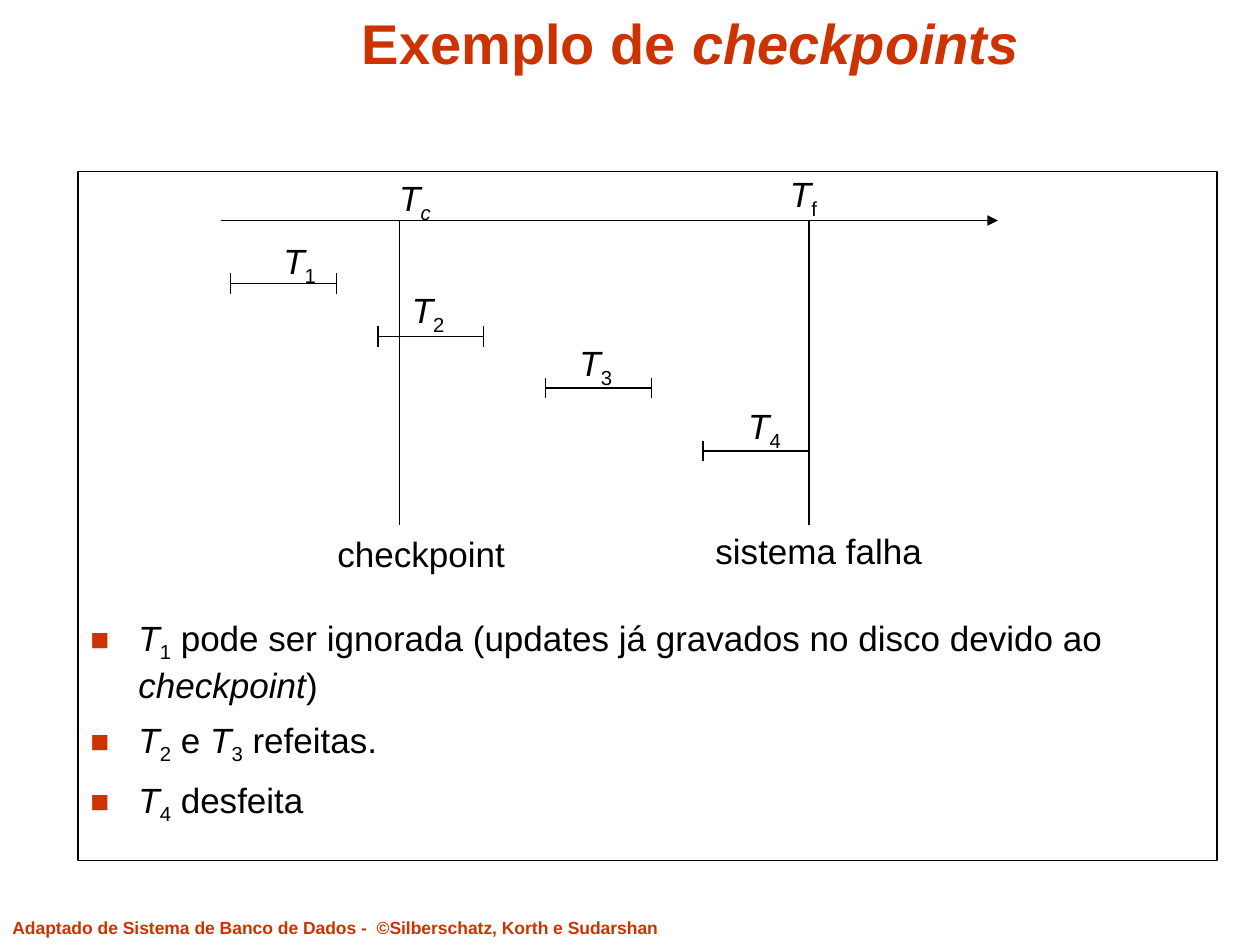
from dataclasses import dataclass

from lxml import etree
from pptx import Presentation
from pptx.dml.color import RGBColor
from pptx.enum.shapes import MSO_CONNECTOR, MSO_SHAPE
from pptx.enum.text import MSO_ANCHOR, MSO_AUTO_SIZE, PP_ALIGN
from pptx.oxml.ns import qn
from pptx.util import Inches, Pt

STRAIGHT = MSO_CONNECTOR.STRAIGHT
RECTANGLE = MSO_SHAPE.RECTANGLE
TOP, MIDDLE = MSO_ANCHOR.TOP, MSO_ANCHOR.MIDDLE
FIT_SHAPE = MSO_AUTO_SIZE.SHAPE_TO_FIT_TEXT
NO_FIT = MSO_AUTO_SIZE.NONE
LEFT, CENTER = PP_ALIGN.LEFT, PP_ALIGN.CENTER


@dataclass(frozen=True)
class Theme:
    font: str = "Arial"
    accent: RGBColor = RGBColor(0xCC, 0x33, 0x00)
    ink: RGBColor = RGBColor(0, 0, 0)
    paper: RGBColor = RGBColor(0xFF, 0xFF, 0xFF)
    title_size: int = 32
    body_size: int = 20
    footer_size: int = 10
    line_width: float = 0.75


theme = Theme()


def write(paragraph, parts, size=theme.body_size, color=theme.ink, bold=False):
    """Add (text, style) runs; a style may hold i for italic and s for subscript."""
    for text, style in parts:
        run = paragraph.add_run()
        run.text = text
        run.font.name = theme.font
        run.font.size = Pt(size)
        run.font.color.rgb = color
        run.font.bold = bold
        run.font.italic = "i" in style
        if "s" in style:
            run._r.get_or_add_rPr().set("baseline", "-25000")


def add_line(shapes, x1, y1, x2, y2):
    line = shapes.add_connector(STRAIGHT, Inches(x1), Inches(y1), Inches(x2), Inches(y2))
    line.line.color.rgb = theme.ink
    line.line.width = Pt(theme.line_width)
    etree.SubElement(line._element.spPr, qn("a:effectLst"))
    return line


presentation = Presentation()
presentation.slide_width = Inches(10)
presentation.slide_height = Inches(7.5)
slide = presentation.slides.add_slide(presentation.slide_layouts[5])
shapes = slide.shapes

# Title
title = shapes.title
title.left, title.top = Inches(1.54), Inches(0)
title.width, title.height = Inches(7.88), Inches(0.67)
title.fill.solid()
title.fill.fore_color.rgb = theme.paper
title.text_frame.auto_size = NO_FIT
title.text_frame.vertical_anchor = MIDDLE
title.text_frame.paragraphs[0].alignment = CENTER
write(title.text_frame.paragraphs[0], [("Exemplo de ", ""), ("checkpoints", "i")],
      theme.title_size, theme.accent, bold=True)

# Framed panel, with its bullets below the diagram
panel = shapes.add_shape(RECTANGLE, Inches(0.62), Inches(1.36), Inches(9.04), Inches(5.47))
panel.shadow.inherit = False
panel.fill.solid()
panel.fill.fore_color.rgb = theme.paper
panel.line.color.rgb = theme.ink
panel.line.width = Pt(theme.line_width)
frame = panel.text_frame
frame.word_wrap = True
frame.vertical_anchor = TOP
frame.margin_top = Inches(3.53)

bullets = [
    [("T", "i"), ("1", "s"),
     (" pode ser ignorada (updates já gravados no disco devido ao ", ""),
     ("checkpoint", "i"), (")", "")],
    [("T", "i"), ("2", "s"), (" e ", ""), ("T", "i"), ("3", "s"), (" refeitas.", "")],
    [("T", "i"), ("4", "s"), (" desfeita", "")],
]
for index, parts in enumerate(bullets):
    paragraph = frame.add_paragraph() if index else frame.paragraphs[0]
    paragraph.alignment = LEFT
    paragraph.space_before = Pt(7 if index else 0)
    write(paragraph, parts)
    properties = paragraph._p.get_or_add_pPr()
    properties.set("marL", str(Inches(0.38)))
    properties.set("indent", str(-Inches(0.38)))
    bullet_color = etree.SubElement(properties, qn("a:buClr"))
    etree.SubElement(bullet_color, qn("a:srgbClr"), val=str(theme.accent))
    etree.SubElement(properties, qn("a:buSzPct"), val="90000")
    etree.SubElement(properties, qn("a:buFont"), typeface=theme.font)
    etree.SubElement(properties, qn("a:buChar"), char="■")

# Time axis with the checkpoint and failure moments
axis_y, checkpoint_x, failure_x = 1.75, 3.17, 6.42
axis = add_line(shapes, 1.75, axis_y, 7.92, axis_y)
etree.SubElement(axis.line._get_or_add_ln(), qn("a:tailEnd"), type="triangle")
for moment_x in (checkpoint_x, failure_x):
    add_line(shapes, moment_x, axis_y, moment_x, 4.17)

# Transactions: a span with a tick at each end
span, tick = 0.84, 0.08
for start, y in [(1.83, 2.25), (3, 2.67), (4.33, 3.08), (5.58, 3.58)]:
    add_line(shapes, start, y, start + span, y)
    for x in (start, start + span):
        add_line(shapes, x, y - tick, x, y + tick)

# Diagram labels: left, top, width, runs
labels = [
    (3.07, 1.35, 0.46, [("T", "i"), ("c", "is")]),
    (6.17, 1.32, 0.42, [("T", "i"), ("f", "s")]),
    (2.15, 1.85, 0.47, [("T", "i"), ("1", "s")]),
    (3.17, 2.24, 0.47, [("T", "i"), ("2", "s")]),
    (4.5, 2.66, 0.47, [("T", "i"), ("3", "s")]),
    (5.84, 3.16, 0.47, [("T", "i"), ("4", "s")]),
    (2.58, 4.18, 1.53, [("checkpoint", "")]),
    (5.58, 4.15, 1.84, [("sistema falha", "")]),
]
for left, top, width, parts in labels:
    label = shapes.add_textbox(Inches(left), Inches(top), Inches(width), Inches(0.43))
    label.text_frame.word_wrap = False
    label.text_frame.auto_size = FIT_SHAPE
    write(label.text_frame.paragraphs[0], parts)

# Footer
footer = shapes.add_textbox(Inches(0), Inches(7.23), Inches(5.75), Inches(0.27))
footer.text_frame.word_wrap = True
footer.text_frame.auto_size = FIT_SHAPE
write(footer.text_frame.paragraphs[0],
      [("Adaptado de Sistema de Banco de Dados -  ©Silberschatz, Korth e Sudarshan", "")],
      theme.footer_size, theme.accent, bold=True)

presentation.save("out.pptx")
